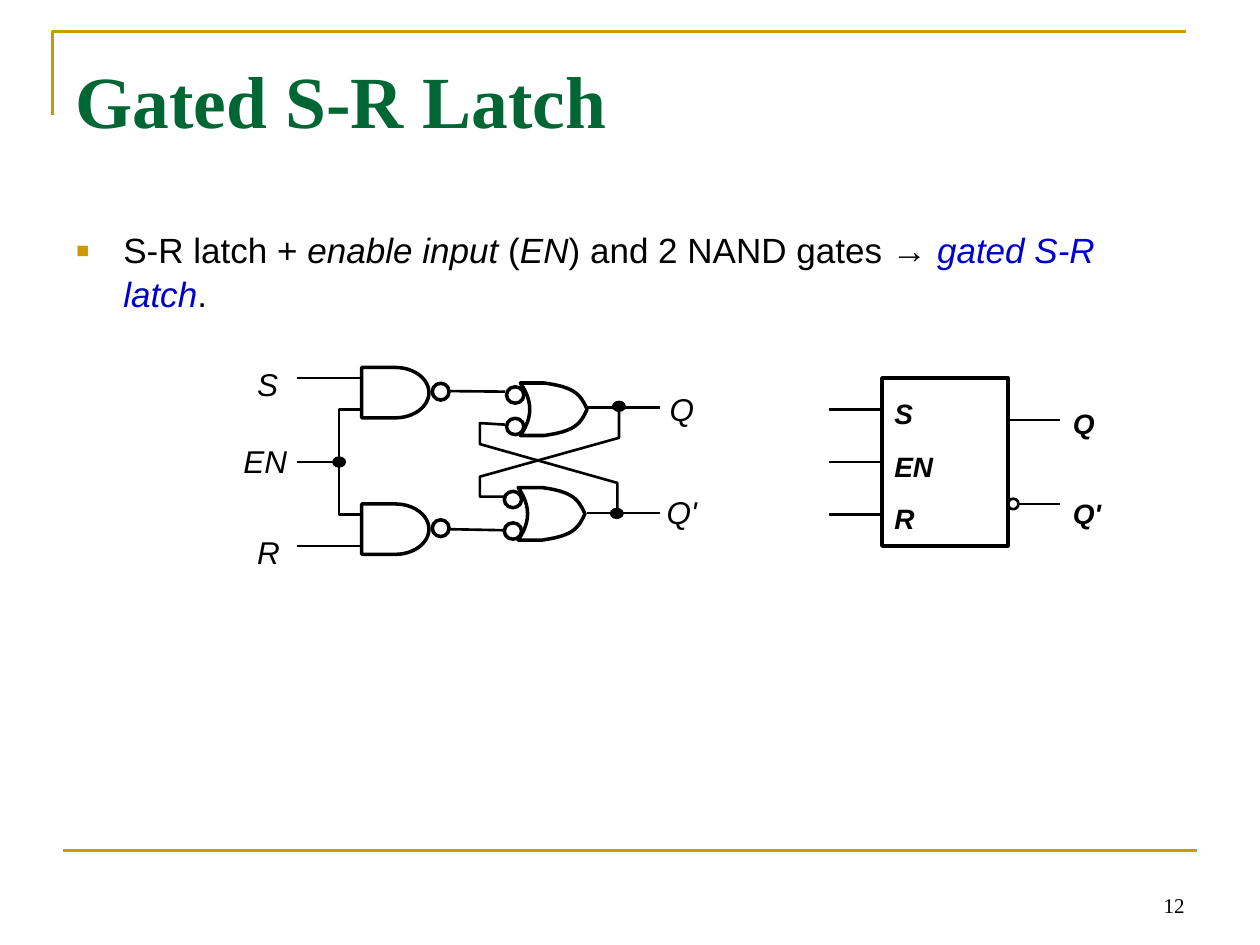
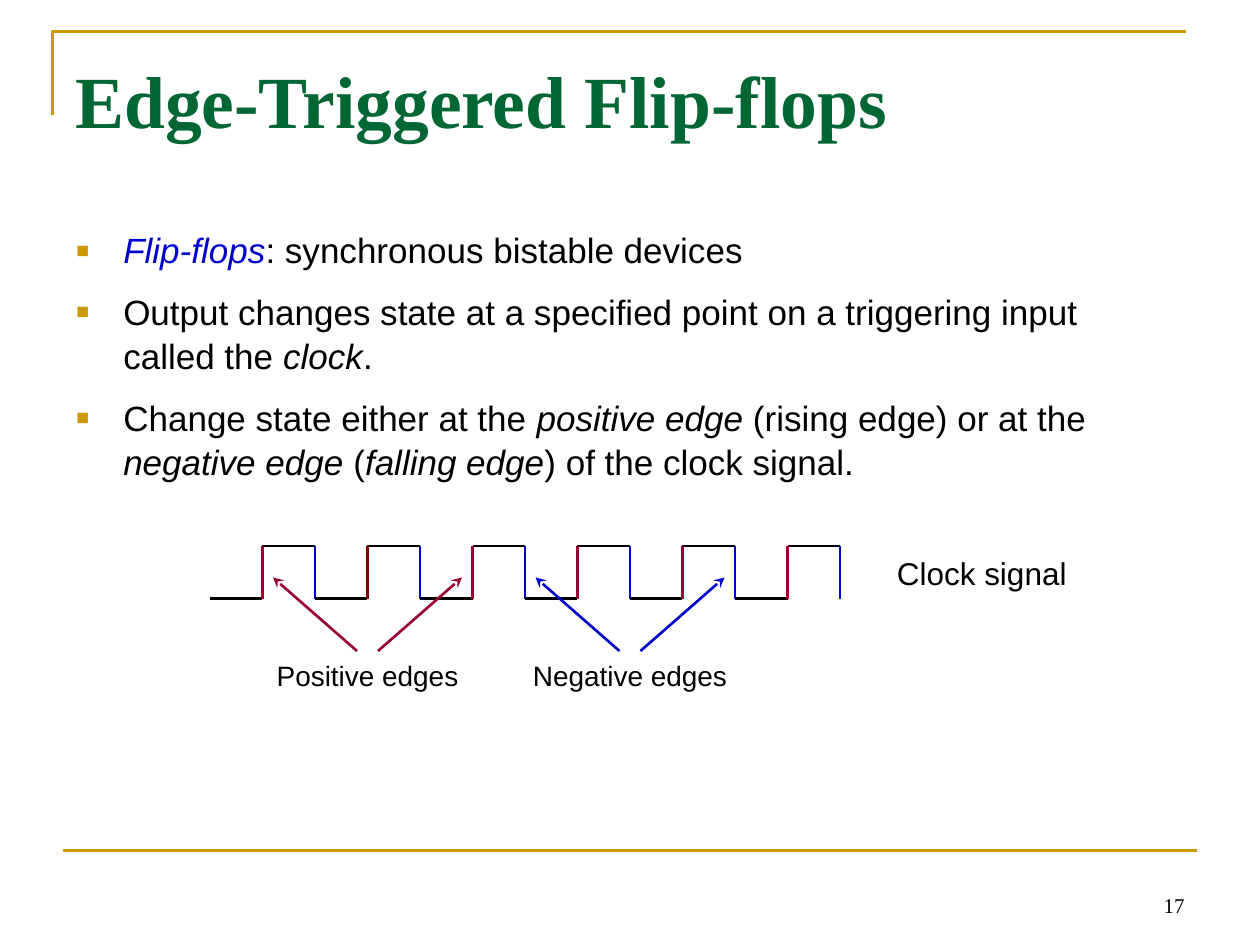
from lxml import etree
from pptx import Presentation
from pptx import util as u
from pptx.dml.color import RGBColor
from pptx.enum import shapes, text
from pptx.oxml import ns

COLS, ROWS = 120, 90
UNIT = u.Inches(10) / COLS
GOLD, GREEN, BLUE, RED, MAROON, BLACK = (
    "CC9900", "006633", "0000CC", "990033", "800000", "000000")
SANS, SERIF = "Arial", "Times New Roman"
LEFT, CENTER, RIGHT = (
    text.PP_ALIGN.LEFT, text.PP_ALIGN.CENTER, text.PP_ALIGN.RIGHT)


def grid(*values):
    return [u.Emu(round(v * UNIT)) for v in values]


def color(value):
    return RGBColor.from_string(value)


def add_xml(parent, tag, **attrs):
    return etree.SubElement(parent, ns.qn(tag), attrs)


def stroke(sp, line_color, weight):
    sp.line.color.rgb = color(line_color)
    sp.line.width = u.Pt(weight)


def wire(slide, start, end, line_color=BLACK, arrow=False):
    sp = slide.shapes.add_connector(
        shapes.MSO_CONNECTOR.STRAIGHT, *grid(*start, *end))
    stroke(sp, line_color, 1.5)
    if arrow:
        add_xml(sp.line._get_or_add_ln(), "a:tailEnd", type="stealth")
    add_xml(sp._element.spPr, "a:effectLst")


def outline(slide, points, line_color=BLACK, weight=1.5, close=False):
    points = [grid(*point) for point in points]
    builder = slide.shapes.build_freeform(*points[0])
    builder.add_line_segments(points[1:], close=close)
    sp = builder.convert_to_shape()
    sp.shadow.inherit = False
    sp.fill.background()
    stroke(sp, line_color, weight)


def preset(slide, kind, box, weight=2, fill=None):
    sp = slide.shapes.add_shape(kind, *grid(*box))
    sp.shadow.inherit = False
    if fill:
        sp.fill.solid()
        sp.fill.fore_color.rgb = color(fill)
    else:
        sp.fill.background()
    stroke(sp, BLACK, weight)


def ring(slide, box, weight=2):
    preset(slide, shapes.MSO_SHAPE.OVAL, box, weight)


def dot(slide, x, y):
    preset(slide, shapes.MSO_SHAPE.OVAL, (x - 0.6, y - 0.48, 1.2, 0.96), 0.75, BLACK)


def style(r, size, font=SANS, ink=BLACK, bold=False, italic=False):
    r.font.size = u.Pt(size)
    r.font.name = font
    r.font.color.rgb = color(ink)
    r.font.bold = bold
    r.font.italic = italic


def text_frame(slide, box, anchor=text.MSO_ANCHOR.TOP):
    tf = slide.shapes.add_textbox(*grid(*box)).text_frame
    tf.word_wrap = True
    tf.vertical_anchor = anchor
    return tf


def paragraph(tf, index, gap):
    p = tf.add_paragraph() if index else tf.paragraphs[0]
    p.line_spacing = 1.05
    if index:
        p.space_before = u.Pt(gap)
    return p


def label(slide, box, lines, size, align=LEFT, gap=0,
          anchor=text.MSO_ANCHOR.TOP, **look):
    tf = text_frame(slide, box, anchor)
    for i, line in enumerate(lines):
        p = paragraph(tf, i, gap)
        p.text = line
        p.alignment = align
        style(p.runs[0], size, **look)


def bullets(slide, items, height):
    tf = text_frame(slide, (6, 21, 106, height))
    for i, item in enumerate(items):
        p = paragraph(tf, i, 10)
        pPr = p._p.get_or_add_pPr()
        indent = u.Inches(0.38)
        pPr.set("marL", str(indent))
        pPr.set("indent", str(-indent))
        add_xml(add_xml(pPr, "a:buClr"), "a:srgbClr", val=GOLD)
        add_xml(pPr, "a:buSzPct", val="120000")
        add_xml(pPr, "a:buFont", typeface=SANS)
        add_xml(pPr, "a:buChar", char="▪")
        for words, kind in item:
            r = p.add_run()
            r.text = words
            style(r, 20, ink=BLUE if kind == "term" else BLACK,
                  italic=kind != "plain")


def new_slide(prs, title, number):
    slide = prs.slides.add_slide(prs.slide_layouts[6])
    outline(slide, [(5, 11), (5, 3), (113, 3)], GOLD)
    wire(slide, (6, 81), (114, 81), GOLD)
    label(slide, (86, 82, 28, 6), [number], 12, RIGHT,
          anchor=text.MSO_ANCHOR.BOTTOM, font=SERIF)
    label(slide, (6, 4.2, 108, 12), [title], 42,
          font=SERIF, ink=GREEN, bold=True)
    return slide


def bezier(a, b, c, d, steps=12):
    for k in range(steps + 1):
        t = k / steps
        s = 1 - t
        yield tuple(s**3 * p + 3 * s * s * t * q + 3 * s * t * t * m + t**3 * n
                    for p, q, m, n in zip(a, b, c, d))


def nand_gate(slide, x, y):
    preset(slide, shapes.MSO_SHAPE.FLOWCHART_DELAY, (x, y, 6.4, 4.8))
    ring(slide, (x + 6.72, y + 1.5, 1.6, 1.6))


def inverted_or_gate(slide, x, y):
    back = bezier((0, 0), (1.2, 1.7), (1.2, 3.3), (0, 5))
    belly = bezier((2.3, 5), (5.1, 4.6), (5.7, 4), (6.36, 2.5))
    top = bezier((6.36, 2.5), (5.7, 1), (5.1, 0.4), (2.3, 0))
    outline(slide, [(x + dx, y + dy) for dx, dy in [*back, *belly, *top]],
            weight=2, close=True)
    for dy in (0.36, 3.36):
        ring(slide, (x - 1.32, y + dy, 1.65, 1.56))


def latch_circuit(slide):
    for y in (35, 48):
        nand_gate(slide, 34.45, y)
    inverted_or_gate(slide, 49.56, 36.48)
    inverted_or_gate(slide, 49.35, 46.44)

    wire(slide, (42.9, 37.25), (48.1, 37.3))
    wire(slide, (42.85, 50.4), (48, 50.5))
    outline(slide, [(58.95, 38.8), (58.95, 41.7), (45.7, 45.4),
                    (45.7, 47.3), (48, 47.3)])
    outline(slide, [(58.8, 48.9), (58.8, 46), (45.7, 42.3),
                    (45.7, 40.3), (48.1, 40.45)])
    for y in (38.8, 48.85):
        wire(slide, (55.9, y), (62.9, y))
    for y in (36, 52):
        wire(slide, (28.3, y), (34.5, y))
    wire(slide, (28.3, 44), (32.3, 44))
    outline(slide, [(34.5, 39), (32.3, 39), (32.3, 49), (34.5, 49)])
    for x, y in ((58.95, 38.7), (58.75, 48.9), (32.3, 44)):
        dot(slide, x, y)

    for name, x, y in (("S", 23.3, 34), ("EN", 22, 41.3), ("R", 23.3, 50),
                       ("Q", 62.6, 36.4), ("Q'", 62.3, 46.2)):
        label(slide, (x, y, 7.2, 4.8), [name], 18, italic=True)


def latch_symbol(slide):
    preset(slide, shapes.MSO_SHAPE.RECTANGLE, (84, 36, 12, 16))
    for y in (39, 44, 49):
        wire(slide, (79, y), (84, y))
    wire(slide, (96, 40), (101, 40))
    ring(slide, (96, 47.5, 1, 1), 1.5)
    wire(slide, (97, 48), (101, 48))
    label(slide, (84, 37, 7.2, 14), ["S", "EN", "R"], 16, gap=10,
          bold=True, italic=True)
    label(slide, (101, 38, 7.2, 13), ["Q", "Q'"], 16, gap=31,
          bold=True, italic=True)


def clock_signal(slide, cycles=6, left=20, high=52, low=57, half=5):
    for i in range(cycles):
        start = left + 2 * half * i
        rise, fall = start + half, start + 2 * half
        wire(slide, (start, low), (rise, low))
        wire(slide, (rise, high), (fall, high))
        wire(slide, (rise, high), (rise, low), MAROON if i == 1 else RED)
        wire(slide, (fall, high), (fall, low), BLUE)
    label(slide, (83, 52, 21, 4.8), ["Clock signal"], 18, CENTER)
    for name, center, ink in (("Positive edges", 35, RED),
                              ("Negative edges", 60, BLUE)):
        for side in (-1, 1):
            wire(slide, (center + side, 62), (center + 9 * side, 55), ink, True)
        label(slide, (center - 11, 62, 22, 4.4), [name], 16, CENTER)


def main():
    prs = Presentation()
    prs.slide_width, prs.slide_height = grid(COLS, ROWS)

    slide = new_slide(prs, "Gated S-R Latch", "12")
    bullets(slide, [
        [("S-R latch + ", "plain"), ("enable input", "italic"),
         (" (", "plain"), ("EN", "italic"),
         (") and 2 NAND gates → ", "plain"),
         ("gated S-R latch", "term"), (".", "plain")],
    ], 12)
    latch_circuit(slide)
    latch_symbol(slide)

    slide = new_slide(prs, "Edge-Triggered Flip-flops", "17")
    bullets(slide, [
        [("Flip-flops", "term"), (": synchronous bistable devices", "plain")],
        [("Output changes state at a specified point on a triggering input "
          "called the ", "plain"), ("clock", "italic"), (".", "plain")],
        [("Change state either at the ", "plain"), ("positive edge", "italic"),
         (" (rising edge) or at the ", "plain"), ("negative edge", "italic"),
         (" (", "plain"), ("falling edge", "italic"),
         (") of the clock signal.", "plain")],
    ], 26)
    clock_signal(slide)

    prs.save("out.pptx")


if __name__ == "__main__":
    main()
